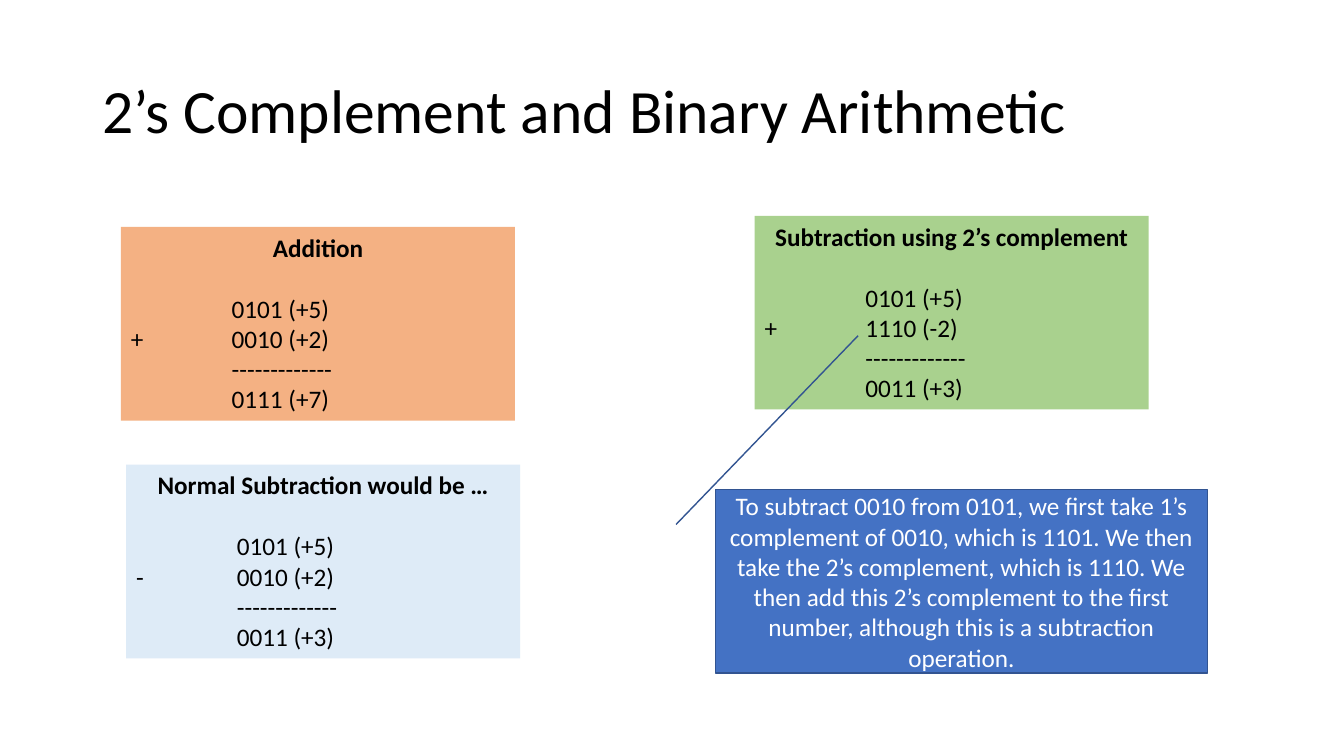
from dataclasses import dataclass

from lxml.etree import SubElement
from pptx import Presentation
from pptx.dml.color import RGBColor
from pptx.enum.shapes import MSO_SHAPE
from pptx.enum.text import MSO_ANCHOR, MSO_AUTO_SIZE, PP_ALIGN
from pptx.oxml.ns import qn
from pptx.util import Cm, Pt


@dataclass(frozen=True)
class Theme:
    font: str = "Calibri"
    title_size: int = 44
    body_size: int = 18
    black: str = "000000"
    white: str = "FFFFFF"
    orange: str = "F4B183"
    green: str = "A9D18E"
    pale_blue: str = "DEEBF7"
    blue: str = "4472C4"
    dark_blue: str = "325491"


class SlideBuilder:
    def __init__(self, prs, theme):
        self.theme = theme
        self.s = prs.slides.add_slide(prs.slide_layouts[5])

    def style(self, p, size, color, bold=False, align=PP_ALIGN.LEFT):
        p.alignment = align
        for r in p.runs:
            r.font.name = self.theme.font
            r.font.size = Pt(size)
            r.font.bold = bold
            r.font.color.rgb = RGBColor.from_string(color)

    def shape(self, kind, box, fill):
        sp = self.s.shapes.add_shape(kind, *map(Cm, box))
        sp.shadow.inherit = False
        sp.fill.solid()
        sp.fill.fore_color.rgb = RGBColor.from_string(fill)
        sp.text_frame.word_wrap = True
        return sp

    def title(self, text, box):
        sp = self.s.shapes.title
        sp.left, sp.top, sp.width, sp.height = map(Cm, box)
        tf = sp.text_frame
        tf.text = text
        tf.auto_size = MSO_AUTO_SIZE.NONE
        tf.vertical_anchor = MSO_ANCHOR.MIDDLE
        tf.paragraphs[0].line_spacing = 0.9
        self.style(tf.paragraphs[0], self.theme.title_size, self.theme.black)

    def sum_box(self, left, top, fill, heading, sign, first, second, result):
        sp = self.shape(MSO_SHAPE.RECTANGLE, (left, top, 9.93, 4.88), fill)
        sp.line.fill.background()
        tf = sp.text_frame
        tf.vertical_anchor = MSO_ANCHOR.TOP
        tf.auto_size = MSO_AUTO_SIZE.SHAPE_TO_FIT_TEXT
        tf.text = "\n".join([heading, f"\t{first}", f"{sign}\t{second}",
                             "\t-------------", f"\t{result}"])
        head, *rows = tf.paragraphs
        self.style(head, self.theme.body_size, self.theme.black, True, PP_ALIGN.CENTER)
        head.space_after = Pt(22)
        for p in rows:
            self.style(p, self.theme.body_size, self.theme.black)
            # Tab stop that lines up the numbers
            tabs = SubElement(p._p.get_or_add_pPr(), qn("a:tabLst"))
            SubElement(tabs, qn("a:tab"), pos=str(Cm(2.54)), algn="l")

    def callout(self, box, text, adjustments):
        sp = self.shape(MSO_SHAPE.LINE_CALLOUT_1, box, self.theme.blue)
        sp.line.color.rgb = RGBColor.from_string(self.theme.dark_blue)
        sp.line.width = Pt(1)
        for i, value in enumerate(adjustments):
            sp.adjustments[i] = value
        tf = sp.text_frame
        tf.text = text
        tf.vertical_anchor = MSO_ANCHOR.MIDDLE
        self.style(tf.paragraphs[0], self.theme.body_size, self.theme.white,
                   align=PP_ALIGN.CENTER)


def main():
    prs = Presentation()
    prs.slide_width, prs.slide_height = Cm(33.87), Cm(19.05)
    theme = Theme()
    slide = SlideBuilder(prs, theme)

    # Title
    slide.title("2’s Complement and Binary Arithmetic", (2.33, 1.01, 29.21, 3.68))

    # Worked sums
    slide.sum_box(3.05, 5.72, theme.orange, "Addition",
                  "+", "0101 (+5)", "0010 (+2)", "0111 (+7)")
    slide.sum_box(19.02, 5.44, theme.green, "Subtraction using 2’s complement",
                  "+", "0101 (+5)", "1110 (-2)", "0011 (+3)")

    # Explanation pointing at the complement
    slide.callout(
        (18.03, 12.34, 12.4, 4.62),
        "To subtract 0010 from 0101, we first take 1’s complement of 0010, "
        "which is 1101. We then take the 2’s complement, which is 1110. "
        "We then add this 2’s complement to the first number, although "
        "this is a subtraction operation.",
        (0.19, -0.08, -0.84, 0.29))

    # Ordinary subtraction for comparison
    slide.sum_box(3.18, 11.71, theme.pale_blue, "Normal Subtraction would be …",
                  "-", "0101 (+5)", "0010 (+2)", "0011 (+3)")

    prs.save("out.pptx")


if __name__ == "__main__":
    main()
